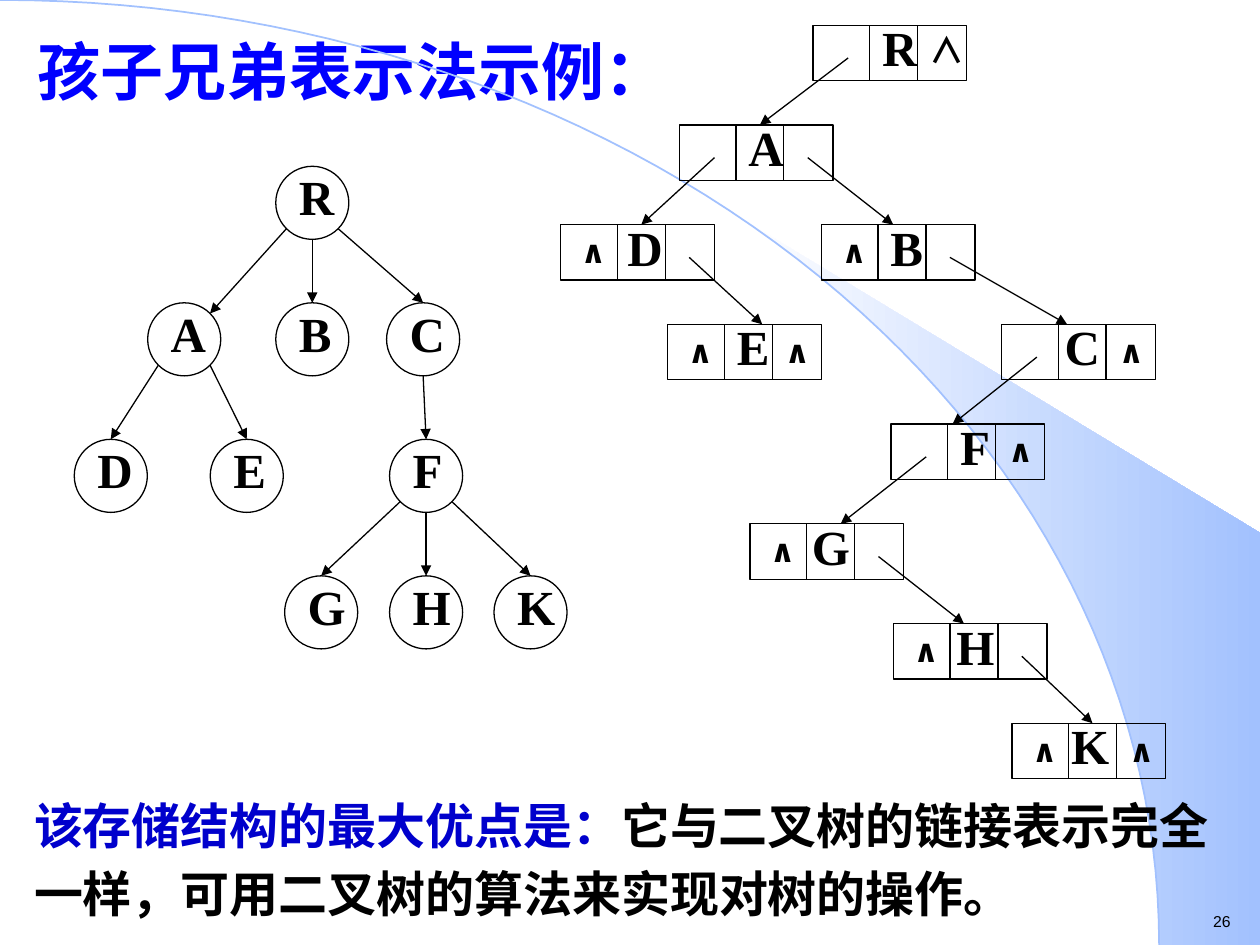
import collections
import math

import pptx
import pptx.dml.color
import pptx.enum.dml
import pptx.enum.shapes
import pptx.enum.text
import pptx.oxml
import pptx.oxml.ns
import pptx.util
from lxml import etree

WIDTH, HEIGHT = 10, 7.5
SERIF, HAN = "Times New Roman", "Noto Sans CJK SC"
BLACK, PALE_BLUE = "000000", "A2C1FE"
CIRCLE = 0.58
CELL_HEIGHT, NODE_WIDTH = 0.44, 1.22
DATA_LEFT, DATA_WIDTH = 0.45, 0.38

Box = collections.namedtuple("Box", "left top width height")
TreeNode = collections.namedtuple("TreeNode", "column level")
ListNode = collections.namedtuple("ListNode", "column row indent null_left null_right")
Link = collections.namedtuple("Link", "parent side child landing")

TREE = {
    "R": TreeNode(48.3, 0), "A": TreeNode(22.3, 1), "B": TreeNode(48.3, 1),
    "C": TreeNode(70.8, 1), "D": TreeNode(7.4, 2), "E": TreeNode(35, 2),
    "F": TreeNode(71.4, 2), "G": TreeNode(50.1, 3), "H": TreeNode(71.4, 3),
    "K": TreeNode(92.6, 3),
}
TREE_EDGES = [
    ("R", -1, "A"), ("R", 0, "B"), ("R", 1, "C"), ("A", -1, "D"), ("A", 1, "E"),
    ("C", 0, "F"), ("F", -1, "G"), ("F", 0, "H"), ("F", 1, "K"),
]
LIST = {
    "R": ListNode(41.7, 0, 0.1, False, True),
    "A": ListNode(19.6, 1, 0.1, False, False),
    "D": ListNode(0, 2, 0.08, True, False),
    "B": ListNode(43.1, 2, 0.1, True, False),
    "E": ListNode(17.7, 3, 0.1, True, True),
    "C": ListNode(72.9, 3, 0.05, False, True),
    "F": ListNode(54.6, 4, 0.1, False, True),
    "G": ListNode(31.3, 5, 0.04, True, False),
    "H": ListNode(55, 6, 0.05, True, False),
    "K": ListNode(74.6, 7, 0.02, True, True),
}
LIST_LINKS = [
    Link("R", "child", "A", None), Link("A", "child", "D", None),
    Link("A", "sibling", "B", 0.57), Link("D", "sibling", "E", 0.75),
    Link("B", "sibling", "C", 0.52), Link("C", "child", "F", 0.49),
    Link("F", "child", "G", 0.72), Link("G", "sibling", "H", 0.56),
    Link("H", "sibling", "K", None),
]


def inches(*lengths):
    return [pptx.util.Inches(length) for length in lengths]


def colour(value):
    return pptx.dml.color.RGBColor.from_string(value)


def write(shape, *runs, size, font=SERIF, east_asian=None, bold=True, leading=None,
          insets=(0.1, 0.05, 0.1, 0.05), wrap=False, middle=False):
    frame = shape.text_frame
    frame.auto_size = pptx.enum.text.MSO_AUTO_SIZE.NONE
    frame.word_wrap = wrap
    anchors = pptx.enum.text.MSO_ANCHOR
    frame.vertical_anchor = anchors.MIDDLE if middle else anchors.TOP
    (frame.margin_left, frame.margin_top,
     frame.margin_right, frame.margin_bottom) = inches(*insets)
    paragraph = frame.paragraphs[0]
    paragraph.alignment = pptx.enum.text.PP_ALIGN.LEFT
    if leading:
        paragraph.line_spacing = pptx.util.Pt(leading)
    for words, tint in runs:
        run = paragraph.add_run()
        run.text = words
        run.font.size = pptx.util.Pt(size)
        run.font.bold = bold
        run.font.name = font
        run.font.color.rgb = colour(tint)
        properties = run.font._element
        etree.SubElement(properties, pptx.oxml.ns.qn("a:ea"), typeface=east_asian or font)


def add_text(slide, box, *runs, **style):
    write(slide.shapes.add_textbox(*inches(*box)), *runs, **style)


def add_outline(slide, kind, box):
    outline = slide.shapes.add_shape(kind, *inches(*box))
    outline.shadow.inherit = False
    outline.fill.background()
    outline.line.color.rgb = colour(BLACK)
    outline.line.width = pptx.util.Pt(0.75)
    return outline


def add_arrow(slide, start, end, target=None):
    arrow = slide.shapes.add_connector(
        pptx.enum.shapes.MSO_CONNECTOR.STRAIGHT, *inches(*start, *end))
    if target is not None:
        arrow.end_connect(target, 0)
    arrow.line.color.rgb = colour(BLACK)
    arrow.line.width = pptx.util.Pt(0.75)
    etree.SubElement(arrow.line._get_or_add_ln(), pptx.oxml.ns.qn("a:tailEnd"), type="triangle")
    etree.SubElement(arrow._element.spPr, pptx.oxml.ns.qn("a:effectLst"))


def add_path(slide, points, close):
    start, *others = [inches(*point) for point in points]
    builder = slide.shapes.build_freeform(*start)
    builder.add_line_segments(others, close=close)
    path = builder.convert_to_shape()
    path.shadow.inherit = False
    return path


def draw_backdrop(slide, box):
    radius_x, radius_y = 0.92 * box.width, box.height

    def arc(first, steps=60):
        angles = [first + (math.pi / 2 - first) * step / steps for step in range(steps + 1)]
        return [(box.left + radius_x * math.sin(angle),
                 box.top + radius_y * (1 - math.cos(angle))) for angle in angles]

    right, bottom = box.left + box.width, box.top + box.height
    corners = [(right, bottom), (right, box.top + 0.564 * box.height)]
    beam = add_path(slide, arc(math.asin(0.64)) + corners, True)
    beam.line.fill.background()
    beam.fill.gradient()
    beam.fill.gradient_angle = 0
    for stop, tint, position in zip(beam.fill.gradient_stops, ("FFFFFF", PALE_BLUE), (0, 1)):
        stop.color.rgb = colour(tint)
        stop.position = position

    horizon = add_path(slide, arc(0), False)
    horizon.fill.background()
    horizon.line.color.rgb = colour(PALE_BLUE)
    horizon.line.width = pptx.util.Pt(1)


def draw_title(slide, box):
    title = slide.shapes.title
    title.left, title.top, title.width, title.height = inches(*box)
    write(title, ("孩子兄弟表示法示例：", "0000FF"), size=36, font=HAN)


def draw_tree(slide, box):
    pitch = (box.height - CIRCLE) / 3
    radius = CIRCLE / 2
    diagonal = radius * math.sqrt(0.5)
    centres, circles = {}, {}
    for letter, node in TREE.items():
        x = box.left + box.width * node.column / 100
        y = box.top + radius + pitch * node.level
        centres[letter] = x, y
        circles[letter] = add_outline(
            slide, pptx.enum.shapes.MSO_SHAPE.OVAL, (x - radius, y - radius, CIRCLE, CIRCLE))
        write(circles[letter], (letter, BLACK), size=28, insets=(0.1, 0, 0, 0.11),
              wrap=True, middle=True)
    for parent, side, child in TREE_EDGES:
        (x, y), (child_x, child_y) = centres[parent], centres[child]
        start = x + side * diagonal, y + (diagonal if side else radius)
        if (parent, child) == ("R", "A"):
            add_arrow(slide, start, (child_x + diagonal, child_y - diagonal))
        else:
            add_arrow(slide, start, (child_x, child_y - radius), circles[child])


def draw_linked_list(slide, box):
    pitch = (box.height - CELL_HEIGHT) / 7
    rectangle = pptx.enum.shapes.MSO_SHAPE.RECTANGLE
    corners, data_cells = {}, {}
    for letter, node in LIST.items():
        x, y = box.left + box.width * node.column / 100, box.top + pitch * node.row
        corners[letter] = x, y
        add_outline(slide, rectangle, (x, y, NODE_WIDTH, CELL_HEIGHT))
        data_cells[letter] = add_outline(
            slide, rectangle, (x + DATA_LEFT, y, DATA_WIDTH, CELL_HEIGHT))
        write(data_cells[letter], (letter, BLACK), size=28,
              insets=(node.indent, 0, 0, 0.09), wrap=True, middle=True)
        size, font, rise = (20, "Noto Sans CJK JP", -0.02) if letter == "R" else (18, "Cabin", 0.01)
        for shown, offset in ((node.null_left, 0.06), (node.null_right, 0.83)):
            if shown:
                add_text(slide, (x + offset, y + rise, 0.45, 0.4), ("∧", BLACK),
                         size=size, font=font)
    for link in LIST_LINKS:
        (x, y), (child_x, child_y) = corners[link.parent], corners[link.child]
        start = x + (0.28 if link.side == "child" else 1.02), y + 0.26
        target = data_cells[link.child] if link.landing is None else None
        landing = link.landing or DATA_LEFT + DATA_WIDTH / 2
        add_arrow(slide, start, (child_x + landing, child_y), target)


def draw_conclusion(slide, box):
    add_text(slide, box, ("该存储结构的最大优点是：", "0000CC"),
             ("它与二叉树的链接表示完全一样，可用二叉树的算法来实现对树的操作。", BLACK),
             size=28, east_asian=HAN, leading=39, insets=(0, 0.05, 0, 0.05), wrap=True)


def main():
    deck = pptx.Presentation()
    deck.slide_width, deck.slide_height = inches(WIDTH, HEIGHT)
    slide = deck.slides.add_slide(deck.slide_layouts[5])
    draw_backdrop(slide, Box(0, 0, WIDTH, HEIGHT))
    draw_title(slide, Box(0.2, 0.21, 5.22, 0.7))
    draw_tree(slide, Box(0.59, 1.32, 3.91, 3.83))
    draw_linked_list(slide, Box(4.45, 0.2, 4.8, 5.98))
    draw_conclusion(slide, Box(0.27, 6.19, 9.45, 1.18))
    add_text(slide, Box(9.53, 7.19, 0.35, 0.25), ("26", BLACK), size=9, font="Arial", bold=False)
    deck.save("out.pptx")


if __name__ == "__main__":
    main()
